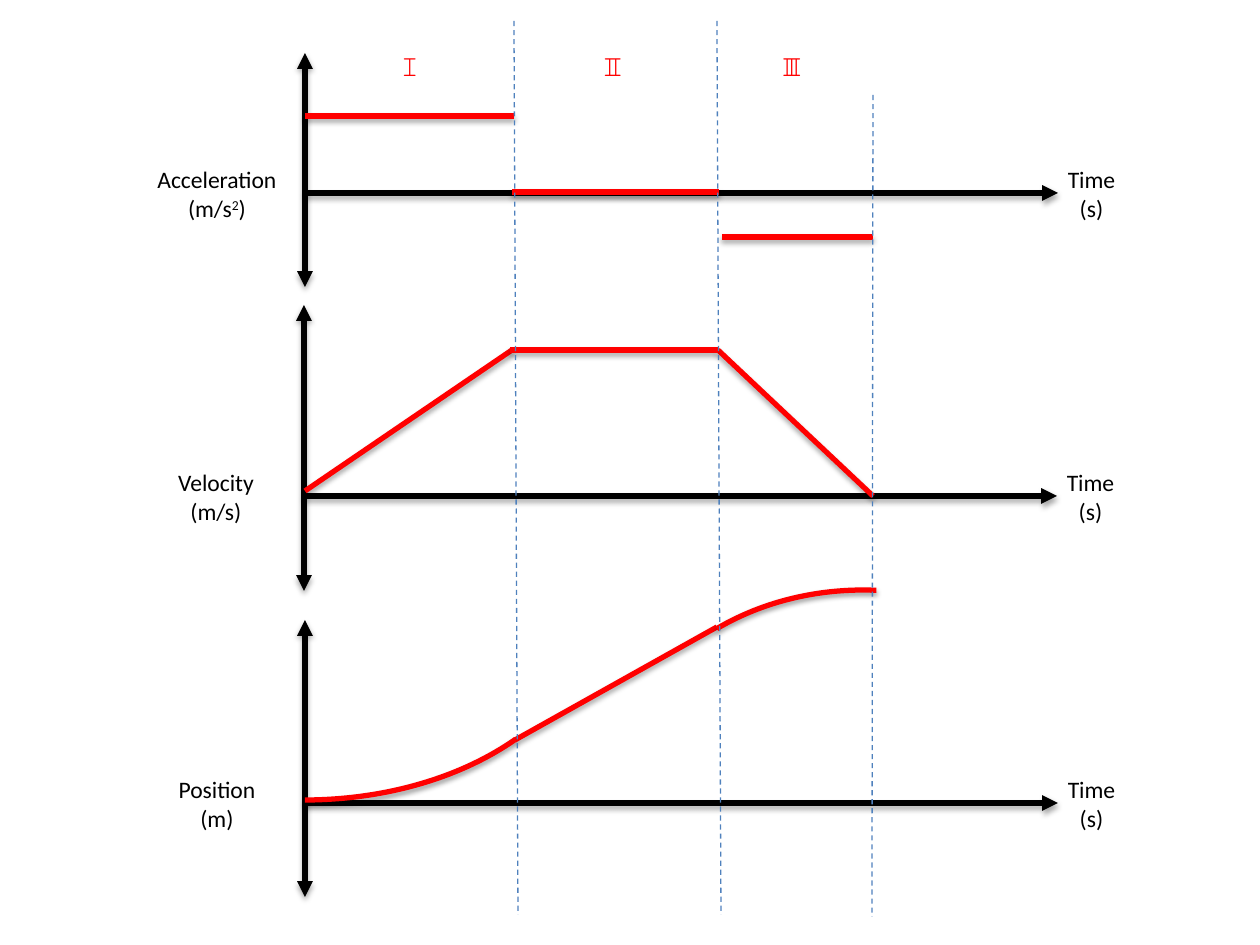
from dataclasses import dataclass

from lxml import etree
from pptx import Presentation
from pptx.dml.color import RGBColor
from pptx.enum.dml import MSO_LINE
from pptx.enum.shapes import MSO_CONNECTOR, MSO_SHAPE
from pptx.enum.text import MSO_AUTO_SIZE, PP_ALIGN
from pptx.oxml.ns import qn
from pptx.util import Pt

STRAIGHT = MSO_CONNECTOR.STRAIGHT
ARC = MSO_SHAPE.ARC
DASH = MSO_LINE.DASH
LEFT, CENTER = PP_ALIGN.LEFT, PP_ALIGN.CENTER
FIT_SHAPE = MSO_AUTO_SIZE.SHAPE_TO_FIT_TEXT

EMU_PER_PX = 914400 / 126
BLACK, RED, BLUE = "000000", "FF0000", "4F81BD"
LABEL_HEIGHT = 71
TIME_WIDTH = 73
AXIS_LENGTH = 753

Point = tuple[int, int]


@dataclass(frozen=True)
class Graph:
    quantity: str
    unit: str
    label_width: int
    axis_x: int
    axis_top: int
    axis_bottom: int
    zero_y: int
    segments: tuple[tuple[Point, Point], ...]


@dataclass(frozen=True)
class Curve:
    left: int
    top: int
    width: int
    height: int
    angles: tuple[float, float]
    rotation: int


@dataclass(frozen=True)
class Numeral:
    text: str
    left: int
    width: int


GRAPHS = (
    Graph("Velocity", "(m/s)", 102, 304, 305, 591, 496,
          (((512, 350), (305, 491)), ((718, 350), (873, 496)), ((718, 350), (510, 350)))),
    Graph("Position", "(m)", 103, 305, 620, 897, 803,
          (((717, 627), (515, 740)),)),
    Graph("Acceleration", "(m/s^2^)", 152, 305, 53, 287, 193,
          (((514, 116), (305, 116)), ((722, 237), (873, 237)), ((719, 192), (512, 192)))),
)
CURVES = (
    Curve(11, 402, 587, 398, (33.24, 89.87), 0),
    Curve(616, 590, 494, 398, (47.66, 93.83), 180),
)
NUMERALS = (Numeral("Ⅰ", 388, 34), Numeral("Ⅱ", 591, 43), Numeral("Ⅲ", 770, 52))
PHASE_BOUNDARIES = (
    ((514, 21), (518, 915)),
    ((717, 21), (721, 915)),
    ((873, 95), (872, 917)),
)


def px(value: float) -> int:
    return round(value * EMU_PER_PX)


def color(hex_value: str) -> RGBColor:
    return RGBColor.from_string(hex_value)


def set_shadow(shape, opacity: int = 0) -> None:
    """Give the shape a soft shadow below it, or none at zero opacity."""
    properties = shape._element.spPr
    for effects in properties.findall(qn("a:effectLst")):
        properties.remove(effects)
    effects = etree.SubElement(properties, qn("a:effectLst"))
    if opacity:
        shadow = etree.SubElement(
            effects, qn("a:outerShdw"), blurRad=str(Pt(3.1)), dist=str(Pt(1.8)),
            dir="5400000", rotWithShape="0")
        black = etree.SubElement(shadow, qn("a:srgbClr"), val=BLACK)
        etree.SubElement(black, qn("a:alpha"), val=str(opacity * 1000))


def add_line(slide, start: Point, end: Point, line_color: str, *, width: float = 3,
             arrows: tuple[str, ...] = (), dashed: bool = False, shadow: int = 35) -> None:
    connector = slide.shapes.add_connector(STRAIGHT, *map(px, start + end))
    connector.line.color.rgb = color(line_color)
    connector.line.width = Pt(width)
    if dashed:
        connector.line.dash_style = DASH
    for arrow in arrows:
        etree.SubElement(connector.line._get_or_add_ln(), qn(f"a:{arrow}"), type="triangle")
    set_shadow(connector, shadow)


def add_text(slide, lines: tuple[str, ...], left: float, top: float, width: float,
             height: float, *, size: float = 13.5, font: str = "Calibri",
             text_color: str = BLACK, align=CENTER) -> None:
    """Write one paragraph per line; text between carets is superscript."""
    box = slide.shapes.add_textbox(px(left), px(top), px(width), px(height))
    frame = box.text_frame
    frame.word_wrap = False
    frame.auto_size = FIT_SHAPE
    for index, line in enumerate(lines):
        paragraph = frame.add_paragraph() if index else frame.paragraphs[0]
        paragraph.alignment = align
        for part, text in enumerate(line.split("^")):
            run = paragraph.add_run()
            run.text = text
            run.font.size = Pt(size)
            run.font.name = font
            run.font.color.rgb = color(text_color)
            if part % 2:
                run.font._element.set("baseline", "30000")


def add_curve(slide, curve: Curve) -> None:
    arc = slide.shapes.add_shape(
        ARC, px(curve.left), px(curve.top), px(curve.width), px(curve.height))
    for index, angle in enumerate(curve.angles):
        arc.adjustments[index] = angle * 0.6
    arc.rotation = curve.rotation
    arc.fill.background()
    arc.line.color.rgb = color(RED)
    arc.line.width = Pt(3)
    set_shadow(arc, 38)


def add_graph(slide, graph: Graph) -> None:
    x, zero = graph.axis_x, graph.zero_y
    tip = x + AXIS_LENGTH
    add_line(slide, (x, graph.axis_top), (x, graph.axis_bottom), BLACK,
             arrows=("headEnd", "tailEnd"))
    add_line(slide, (x, zero), (tip, zero), BLACK, arrows=("tailEnd",))
    label_top = zero - 34
    add_text(slide, (graph.quantity, graph.unit), x - 88 - graph.label_width / 2,
             label_top, graph.label_width, LABEL_HEIGHT)
    add_text(slide, ("Time", "(s)"), tip - 3, label_top, TIME_WIDTH, LABEL_HEIGHT)
    for start, end in graph.segments:
        add_line(slide, start, end, RED)


def main() -> None:
    presentation = Presentation()
    presentation.slide_width, presentation.slide_height = px(1260), px(945)
    slide = presentation.slides.add_slide(presentation.slide_layouts[6])
    for graph in GRAPHS:
        add_graph(slide, graph)
    for numeral in NUMERALS:
        add_text(slide, (numeral.text,), numeral.left, 39, numeral.width, 50,
                 size=18, font="Courier New", text_color=RED, align=LEFT)
    for curve in CURVES:
        add_curve(slide, curve)
    for start, end in PHASE_BOUNDARIES:
        add_line(slide, start, end, BLUE, width=0.75, dashed=True, shadow=0)
    presentation.save("out.pptx")


if __name__ == "__main__":
    main()
